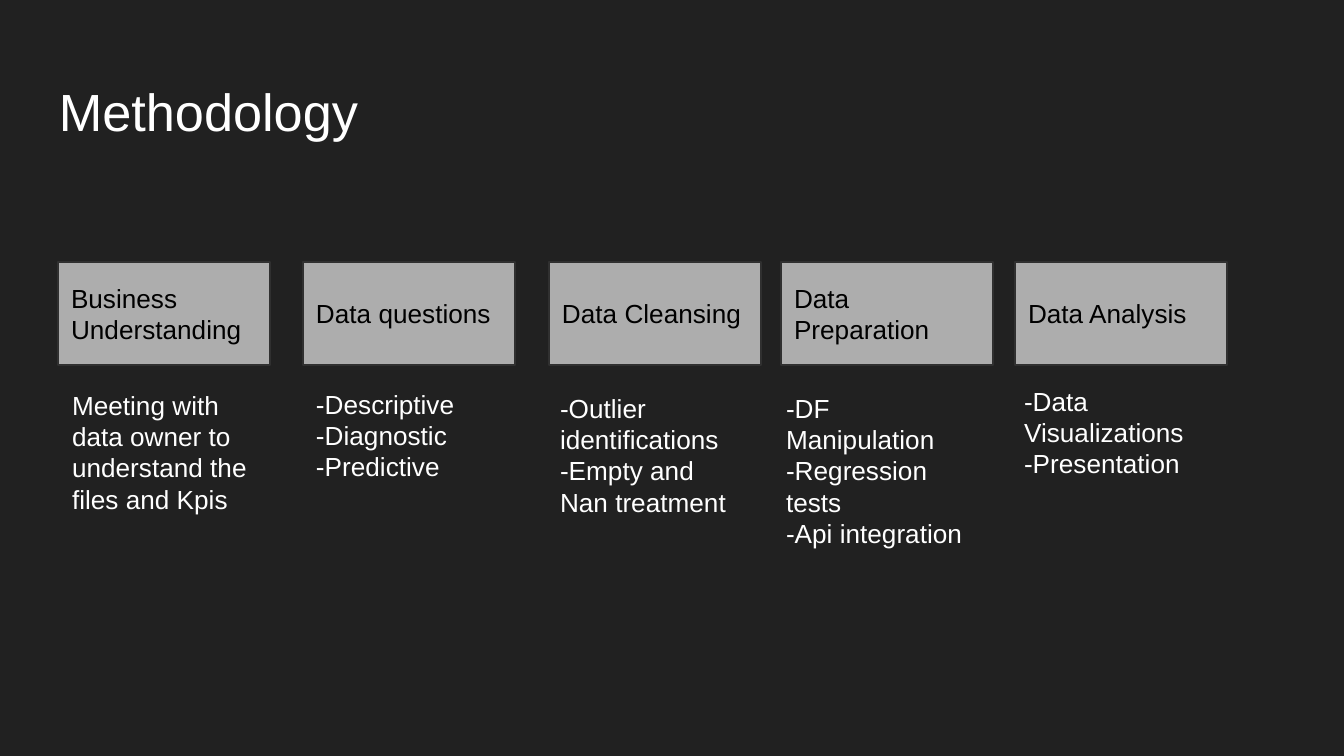
import pptx
import pptx.dml.color
import pptx.enum.shapes
import pptx.enum.text
import pptx.util
from dataclasses import dataclass

PX = 914400 / 134.4


@dataclass(frozen=True)
class Theme:
    background: str = "212121"
    step_fill: str = "ADADAD"
    step_line: str = "303030"
    light: str = "FFFFFF"
    dark: str = "000000"
    font: str = "Arial"
    title_size: int = 28
    body_size: int = 14
    line_width: float = 0.75
    inset: int = 13


def px(length):
    return pptx.util.Emu(round(length * PX))


def rgb(value):
    return pptx.dml.color.RGBColor.from_string(value)


def assign(target, values):
    for name, value in values.items():
        setattr(target, name, value)


class SlideBuilder:
    def __init__(self, slide, theme):
        self.slide = slide
        self.theme = theme
        backdrop = slide.background.fill
        backdrop.solid()
        backdrop.fore_color.rgb = rgb(theme.background)

    def fill_text(self, frame, lines, size, color, anchor):
        inset = px(self.theme.inset)
        assign(frame, {
            "word_wrap": True,
            "vertical_anchor": anchor,
            "margin_left": inset,
            "margin_top": inset,
            "margin_right": inset,
            "margin_bottom": inset,
        })
        frame.text = "\n".join(lines)
        for paragraph in frame.paragraphs:
            paragraph.alignment = pptx.enum.text.PP_ALIGN.LEFT
            for run in paragraph.runs:
                assign(run.font, {"name": self.theme.font, "size": pptx.util.Pt(size)})
                run.font.color.rgb = rgb(color)

    def text(self, box, lines, size):
        label = self.slide.shapes.add_textbox(*map(px, box))
        self.fill_text(label.text_frame, lines, size, self.theme.light,
                       pptx.enum.text.MSO_ANCHOR.TOP)

    def step(self, box, heading):
        block = self.slide.shapes.add_shape(
            pptx.enum.shapes.MSO_SHAPE.RECTANGLE, *map(px, box))
        block.shadow.inherit = False
        block.fill.solid()
        block.fill.fore_color.rgb = rgb(self.theme.step_fill)
        block.line.color.rgb = rgb(self.theme.step_line)
        block.line.width = pptx.util.Pt(self.theme.line_width)
        self.fill_text(block.text_frame, [heading], self.theme.body_size, self.theme.dark,
                       pptx.enum.text.MSO_ANCHOR.MIDDLE)


STEP_TOP, STEP_WIDTH, STEP_HEIGHT, DETAIL_HEIGHT = 262, 212, 103, 254

STEPS = [
    (58, "Business Understanding", (59, 376),
     ["Meeting with data owner to understand the files and Kpis"]),
    (303, "Data questions", (303, 375),
     ["-Descriptive", "-Diagnostic", "-Predictive"]),
    (549, "Data Cleansing", (547, 379),
     ["-Outlier identifications", "-Empty and Nan treatment"]),
    (781, "Data Preparation", (773, 379),
     ["-DF Manipulation", "-Regression tests", "-Api integration"]),
    (1015, "Data Analysis", (1011, 372),
     ["-Data Visualizations", "-Presentation"]),
]


def main():
    deck = pptx.Presentation()
    assign(deck, {"slide_width": px(1344), "slide_height": px(756)})
    theme = Theme()
    methodology = SlideBuilder(deck.slides.add_slide(deck.slide_layouts[6]), theme)

    methodology.text((46, 66, 1253, 85), ["Methodology"], theme.title_size)
    for left, heading, _, _ in STEPS:
        methodology.step((left, STEP_TOP, STEP_WIDTH, STEP_HEIGHT), heading)
    for _, _, corner, details in STEPS:
        methodology.text((*corner, STEP_WIDTH, DETAIL_HEIGHT), details, theme.body_size)

    deck.save("out.pptx")


if __name__ == "__main__":
    main()
